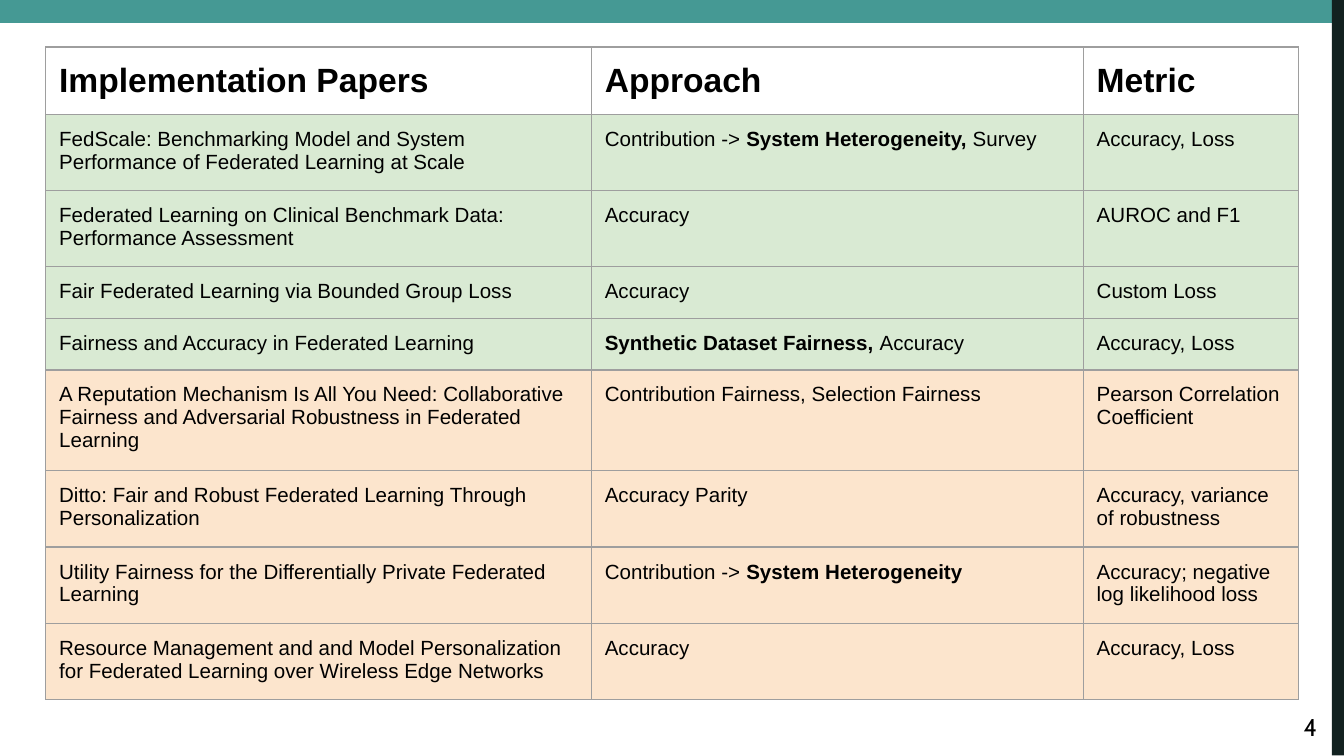
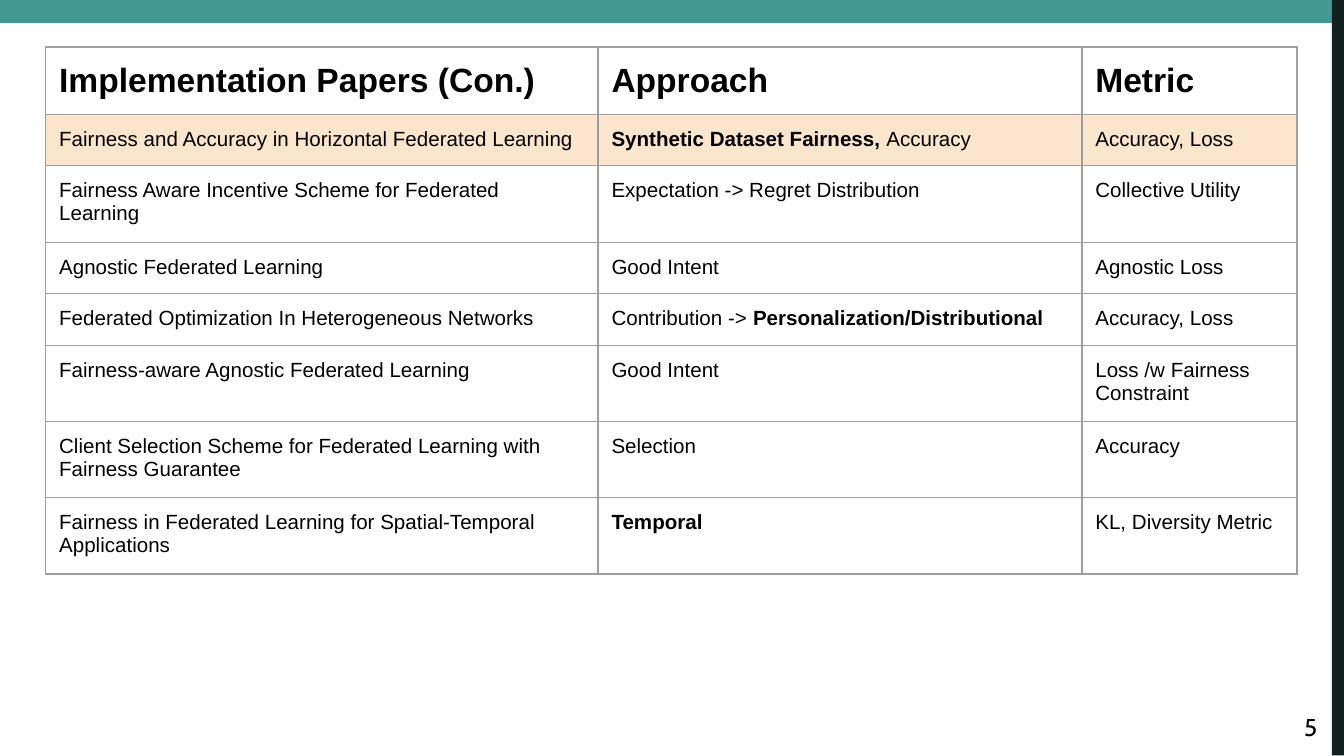
"""Build two slides that list federated learning papers by approach and metric."""
from dataclasses import dataclass

from lxml import etree
from pptx import Presentation
from pptx.dml.color import RGBColor
from pptx.enum.shapes import MSO_SHAPE
from pptx.enum.text import MSO_ANCHOR, PP_ALIGN
from pptx.oxml.ns import qn
from pptx.util import Inches, Pt

RECT = MSO_SHAPE.RECTANGLE
TOP, MIDDLE = MSO_ANCHOR.TOP, MSO_ANCHOR.MIDDLE
RIGHT = PP_ALIGN.RIGHT
BLANK = 6


@dataclass(frozen=True)
class Theme:
    teal: str = "459994"
    dark: str = "122120"
    green: str = "D9EAD3"
    peach: str = "FCE5CD"
    white: str = "FFFFFF"
    ink: str = "000000"
    grid: str = "9E9E9E"
    font: str = "Arial"
    digit: str = "Cabin"
    head: float = 18
    body: float = 11
    page: float = 13
    rule: float = 0.75
    pad: float = 0.1


class Deck:
    def __init__(self, theme):
        self.theme = theme
        self.file = Presentation()
        self.file.slide_width = Inches(10)
        self.file.slide_height = Inches(10) * 9 // 16
        self.slide = None

    def start(self, number):
        theme = self.theme
        self.slide = self.file.slides.add_slide(self.file.slide_layouts[BLANK])
        back = self.slide.background.fill
        back.solid()
        back.fore_color.rgb = RGBColor.from_string(theme.white)
        self.band((-0.03, 0, 10.05, 0.17), theme.teal)
        self.band((9.91, 0, 0.09, 5.62), theme.dark)
        self.number(number)

    def band(self, place, color):
        shape = self.slide.shapes.add_shape(RECT, *map(Inches, place))
        shape.shadow.inherit = False
        shape.fill.solid()
        shape.fill.fore_color.rgb = RGBColor.from_string(color)
        shape.line.fill.background()

    def number(self, value):
        place = map(Inches, (9.27, 5.19, 0.53, 0.43))
        frame = self.slide.shapes.add_textbox(*place).text_frame
        frame.word_wrap = True
        frame.vertical_anchor = MIDDLE
        frame.margin_left = frame.margin_right = 0
        frame.margin_top = frame.margin_bottom = 0
        para = frame.paragraphs[0]
        para.alignment = RIGHT
        self.run(para, str(value), self.theme.page, self.theme.digit)

    def run(self, para, text, size, font, bold=False):
        run = para.add_run()
        run.text = text
        run.font.size = Pt(size)
        run.font.name = font
        run.font.bold = bold
        run.font.color.rgb = RGBColor.from_string(self.theme.ink)

    def border(self, cell):
        props = cell._tc.get_or_add_tcPr()
        for side in ("a:lnL", "a:lnR", "a:lnT", "a:lnB"):
            line = etree.SubElement(props, qn(side), w=str(Pt(self.theme.rule)))
            fill = etree.SubElement(line, qn("a:solidFill"))
            etree.SubElement(fill, qn("a:srgbClr"), val=self.theme.grid)

    def cell(self, cell, text, size, anchor, color=None):
        pad = Inches(self.theme.pad)
        cell.margin_left = cell.margin_right = pad
        cell.margin_top = cell.margin_bottom = pad
        cell.vertical_anchor = anchor
        self.border(cell)
        if color:
            cell.fill.solid()
            cell.fill.fore_color.rgb = RGBColor.from_string(color)
        else:
            cell.fill.background()
        para = cell.text_frame.paragraphs[0]
        para.line_spacing = 1.0
        para.space_before = para.space_after = Pt(0)
        for index, part in enumerate(text.split("*")):
            if part:
                self.run(para, part, size, self.theme.font, index % 2 == 1)

    def table(self, head, groups, widths, height):
        theme = self.theme
        rows = [(head, theme.head, MIDDLE, None)]
        rows += [(row, theme.body, TOP, color)
                 for color, papers in groups for row in papers]
        tall = [0.37, 0.27] + [height] * (len(rows) - 2)
        side = Inches(3.28)
        frame = self.slide.shapes.add_table(
            len(rows), len(widths), Inches(0.34), Inches(0.35), side, side)
        table = frame.table
        table.first_row = table.horz_banding = False
        for col, width in zip(table.columns, widths):
            col.width = Inches(width)
        for line, size, (texts, *style) in zip(table.rows, tall, rows):
            line.height = Inches(size)
            for cell, text in zip(line.cells, texts):
                self.cell(cell, text, *style)
        frame.width = frame.height = side


GREEN = [
    ("FedScale: Benchmarking Model and System Performance of Federated Learning at Scale",
     "Contribution -> *System Heterogeneity, *Survey", "Accuracy, Loss"),
    ("Federated Learning on Clinical Benchmark Data: Performance Assessment",
     "Accuracy", "AUROC and F1"),
    ("Fair Federated Learning via Bounded Group Loss", "Accuracy", "Custom Loss"),
    ("Fairness and Accuracy in Federated Learning",
     "*Synthetic Dataset Fairness, *Accuracy", "Accuracy, Loss"),
]
PEACH = [
    ("A Reputation Mechanism Is All You Need: Collaborative Fairness and "
     "Adversarial Robustness in Federated Learning",
     "Contribution Fairness, Selection Fairness", "Pearson Correlation Coefficient"),
    ("Ditto: Fair and Robust Federated Learning Through Personalization",
     "Accuracy Parity", "Accuracy, variance of robustness"),
    ("Utility Fairness for the Differentially Private Federated Learning",
     "Contribution -> *System Heterogeneity*", "Accuracy; negative log likelihood loss"),
    ("Resource Management and and Model Personalization for Federated Learning "
     "over Wireless Edge Networks", "Accuracy", "Accuracy, Loss"),
]
MORE = [
    ("Fairness and Accuracy in Horizontal Federated Learning",
     "*Synthetic Dataset Fairness, *Accuracy", "Accuracy, Loss"),
]
PLAIN = [
    ("Fairness Aware Incentive Scheme for Federated Learning",
     "Expectation -> Regret Distribution", "Collective Utility"),
    ("Agnostic Federated Learning", "Good Intent", "Agnostic Loss"),
    ("Federated Optimization In Heterogeneous Networks",
     "Contribution -> *Personalization/Distributional*", "Accuracy, Loss"),
    ("Fairness-aware Agnostic Federated Learning",
     "Good Intent", "Loss /w Fairness Constraint"),
    ("Client Selection Scheme for Federated Learning with Fairness Guarantee",
     "Selection", "Accuracy"),
    ("Fairness in Federated Learning for Spatial-Temporal Applications",
     "*Temporal*", "KL, Diversity Metric"),
]


def main():
    theme = Theme()
    deck = Deck(theme)
    deck.start(4)
    deck.table(("*Implementation Papers*", "*Approach*", "*Metric*"),
               [(theme.green, GREEN), (theme.peach, PEACH)], (4.06, 3.66, 1.6), 0.34)
    deck.start(5)
    deck.table(("*Implementation Papers (Con.)*", "*Approach*", "*Metric*"),
               [(theme.peach, MORE), (None, PLAIN)], (4.11, 3.6, 1.6), 0.27)
    deck.file.save("out.pptx")


if __name__ == "__main__":
    main()
